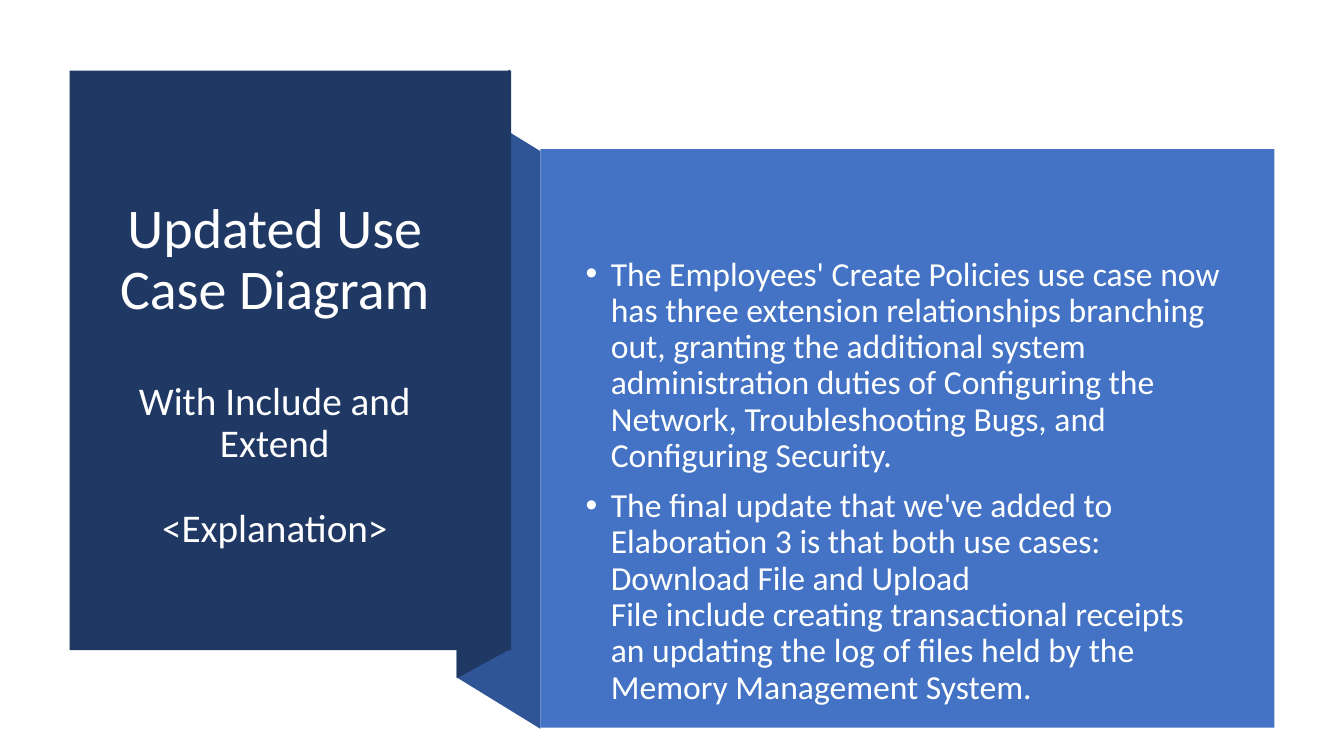
from dataclasses import dataclass

from lxml import etree
from pptx import Presentation
from pptx.dml.color import RGBColor
from pptx.enum.shapes import MSO_SHAPE
from pptx.enum.text import MSO_ANCHOR, PP_ALIGN
from pptx.oxml.ns import qn
from pptx.util import Inches, Pt

RECTANGLE = MSO_SHAPE.RECTANGLE
TOP = MSO_ANCHOR.TOP
CENTER, LEFT = PP_ALIGN.CENTER, PP_ALIGN.LEFT

# The grid has 100 units to the inch, on a slide of 1333 by 750 units.
COLUMNS, ROWS = 1333, 750
UNIT = Inches(0.01)
NO_BREAK_SPACE = chr(160)


@dataclass(frozen=True)
class Theme:
    font: str = "Calibri"
    panel: str = "203864"
    fold: str = "2F5597"
    content: str = "4472C4"
    heading_text: str = "FFFFFF"
    body_text: str = "FEFFFF"
    title_size: int = 40
    subtitle_size: int = 28
    body_size: int = 24
    line_spacing: float = 0.9


THEME = Theme()

# Text, type size, space before in points
HEADING = [
    ("Updated Use Case Diagram", THEME.title_size, 0),
    ("With Include and Extend", THEME.subtitle_size, 43),
    ("<Explanation>", THEME.subtitle_size, 30),
]

# A tilde stands for a space at which the line must not break.
EXPLANATION = [
    "The Employees' Create Policies use case now has three extension "
    "relationships branching out, granting the additional system "
    "administration duties of Configuring the Network, Troubleshooting Bugs, "
    "and Configuring Security.",
    "The final update that we've added to Elaboration 3 is that~both use "
    "cases: Download File and Upload File~include~creating~transactional "
    "receipts an updating the log of~files~held by the Memory Management "
    "System.",
]


def paint(shape, color):
    shape.shadow.inherit = False
    shape.fill.solid()
    shape.fill.fore_color.rgb = RGBColor.from_string(color)
    shape.line.fill.background()


def add_panel(slide, box, color):
    panel = slide.shapes.add_shape(RECTANGLE, *(n * UNIT for n in box))
    paint(panel, color)


def add_fold(slide, left, right, left_top, right_top, height, color):
    """Draw a band with upright sides whose top and bottom slope alike."""
    builder = slide.shapes.build_freeform(left, left_top, scale=UNIT)
    builder.add_line_segments([
        (right, right_top),
        (right, right_top + height),
        (left, left_top + height),
    ])
    paint(builder.convert_to_shape(), color)


def add_text_frame(slide, box):
    frame = slide.shapes.add_textbox(*(n * UNIT for n in box)).text_frame
    frame.word_wrap = True
    frame.vertical_anchor = TOP
    return frame


def write_paragraph(frame, index, text, color, size, alignment, space_before):
    paragraph = frame.add_paragraph() if index else frame.paragraphs[0]
    layout = {
        "alignment": alignment,
        "line_spacing": THEME.line_spacing,
        "space_before": Pt(space_before),
    }
    for name, value in layout.items():
        setattr(paragraph, name, value)
    run = paragraph.add_run()
    run.text = text
    for name, value in {"name": THEME.font, "size": Pt(size)}.items():
        setattr(run.font, name, value)
    run.font.color.rgb = RGBColor.from_string(color)
    return paragraph


def add_bullet(paragraph):
    properties = paragraph._p.get_or_add_pPr()
    indent = Inches(0.25)
    properties.set("marL", str(indent))
    properties.set("indent", str(-indent))
    etree.SubElement(properties, qn("a:buFont")).set("typeface", "Arial")
    etree.SubElement(properties, qn("a:buChar")).set("char", "•")


def add_heading(slide, box):
    frame = add_text_frame(slide, box)
    for index, (text, size, space_before) in enumerate(HEADING):
        write_paragraph(frame, index, text, THEME.heading_text, size,
                        CENTER, space_before)


def add_explanation(slide, box):
    frame = add_text_frame(slide, box)
    for index, text in enumerate(EXPLANATION):
        point = write_paragraph(frame, index,
                                text.replace("~", NO_BREAK_SPACE),
                                THEME.body_text, THEME.body_size, LEFT,
                                10 if index else 0)
        add_bullet(point)


def main():
    deck = Presentation()
    deck.slide_width, deck.slide_height = COLUMNS * UNIT, ROWS * UNIT
    slide = deck.slides.add_slide(deck.slide_layouts[6])
    add_fold(slide, 453, 536, 99, 150, 573, THEME.fold)
    add_fold(slide, 453, 506, 98, 69, 575, THEME.panel)
    add_panel(slide, (69, 70, 438, 575), THEME.panel)
    add_panel(slide, (536, 148, 728, 574), THEME.content)
    add_explanation(slide, (571, 250, 651, 468))
    add_heading(slide, (108, 194, 329, 380))
    deck.save("out.pptx")


if __name__ == "__main__":
    main()
